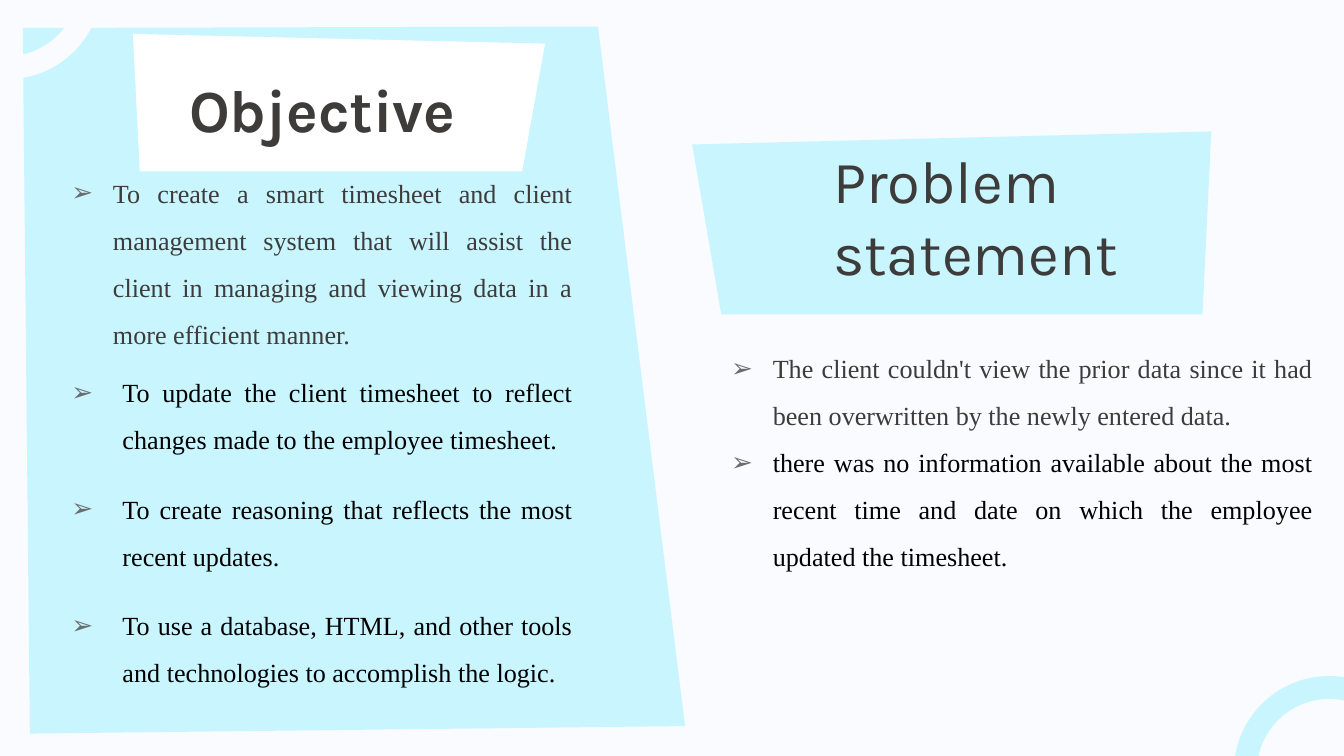
"""Builds the objective and problem statement slide."""
from lxml import etree
from pptx import Presentation
from pptx.dml.color import RGBColor
from pptx.enum.shapes import MSO_SHAPE
from pptx.enum.text import MSO_ANCHOR, MSO_AUTO_SIZE, PP_ALIGN
from pptx.oxml.ns import qn
from pptx.util import Pt

ARC = MSO_SHAPE.BLOCK_ARC
TOP, MIDDLE = MSO_ANCHOR.TOP, MSO_ANCHOR.MIDDLE
FIXED = MSO_AUTO_SIZE.NONE
LEFT, CENTER, JUSTIFY = PP_ALIGN.LEFT, PP_ALIGN.CENTER, PP_ALIGN.JUSTIFY

THEME = {
    "back": "F9FBFF", "panel": "C9F5FF", "white": "FFFFFF",
    "dark": "3D3C3B", "black": "000000", "bullet": "6A6D70",
    "head": "Karla", "body": "Times New Roman",
    "head_size": 32, "body_size": 14,
}


def paint(shape, color):
    shape.shadow.inherit = False
    shape.fill.solid()
    shape.fill.fore_color.rgb = RGBColor.from_string(THEME[color])
    shape.line.fill.background()


def style(para, role, color, align, bold=False):
    para.alignment = align
    for run in para.runs:
        run.font.name = THEME[role]
        run.font.size = Pt(THEME[role + "_size"])
        run.font.bold = bold
        run.font.color.rgb = RGBColor.from_string(THEME[color])


deck = Presentation()
deck.slide_width, deck.slide_height = Pt(720), Pt(405)
slide = deck.slides.add_slide(deck.slide_layouts[3])
slide.background.fill.solid()
slide.background.fill.fore_color.rgb = RGBColor.from_string(THEME["back"])
shapes = slide.shapes
title, goals, issues = slide.placeholders

panels = [
    ("panel", [(367, 389), (320.4, 14.2), (12.2, 15), (16, 393)]),
    ("white", [(71.2, 18.2), (74.9, 91.8), (279.7, 91.8), (292, 23.4)]),
    ("panel", [(648.9, 70.4), (644.2, 168.4), (386.4, 168.4), (370.8, 77.4)]),
]
for color, points in panels:
    spots = [(Pt(x), Pt(y)) for x, y in points]
    form = shapes.build_freeform(*spots[0], scale=1.0)
    form.add_line_segments(spots[1:], close=True)
    paint(form.convert_to_shape(), color)

for x, y, turn, color in [(661, 362.2, 315, "panel"), (-47.5, -59.8, 150, "back")]:
    ring = shapes.add_shape(ARC, Pt(x), Pt(y), Pt(102.2), Pt(102.2))
    for i, value in enumerate((108, 2.64, 0.12)):
        ring.adjustments[i] = value
    ring.rotation = turn
    ring._element.spPr.find(qn("a:xfrm")).set("flipH", "1")
    paint(ring, color)

title.left, title.top, title.width, title.height = Pt(75.6), Pt(35), Pt(194.4), Pt(46)
title.text_frame.text = "Objective"
title.text_frame.auto_size = FIXED
title.text_frame.vertical_anchor = MIDDLE
style(title.text_frame.paragraphs[0], "head", "dark", CENTER, True)
shapes._spTree.append(title._element)

lists = [
    (goals, (31, 79.3, 283, 322), 27.4, 6, [
        "To create a smart timesheet and client management system that will assist the client in managing and viewing data in a more efficient manner.",
        "To update the client timesheet to reflect changes made to the employee timesheet.",
        "To create reasoning that reflects the most recent updates.",
        "To use a database, HTML, and other tools and technologies to accomplish the logic.",
    ]),
    (issues, (384.5, 173.2, 326.2, 142), 22.3, 0, [
        "The client couldn't view the prior data since it had been overwritten by the newly entered data.",
        "there was no information available about the most recent time and date on which the employee updated the timesheet.",
    ]),
]
for box, area, dent, gap, lines in lists:
    box.left, box.top, box.width, box.height = map(Pt, area)
    frame = box.text_frame
    frame.text = "\n".join(lines)
    frame.auto_size = FIXED
    frame.vertical_anchor = TOP
    frame.margin_left = frame.margin_right = Pt(7.2)
    frame.margin_top = frame.margin_bottom = Pt(7.2)
    for i, para in enumerate(frame.paragraphs):
        props = para._p.get_or_add_pPr()
        inset = dent if i else 22.3
        props.set("marL", str(Pt(inset)))
        props.set("indent", str(-Pt(inset)))
        tint = etree.SubElement(props, qn("a:buClr"))
        etree.SubElement(tint, qn("a:srgbClr")).set("val", THEME["bullet"])
        etree.SubElement(props, qn("a:buChar")).set("char", "➢")
        para.line_spacing = 1.5
        para.space_before = para.space_after = Pt(gap if i else 0)
        style(para, "body", "black" if i else "dark", JUSTIFY)
    shapes._spTree.append(box._element)

label = shapes.add_textbox(Pt(439.2), Pt(73.4), Pt(217.4), Pt(85))
label.text_frame.word_wrap = True
label.text_frame.text = "Problem statement"
style(label.text_frame.paragraphs[0], "head", "dark", LEFT)

deck.save("out.pptx")
